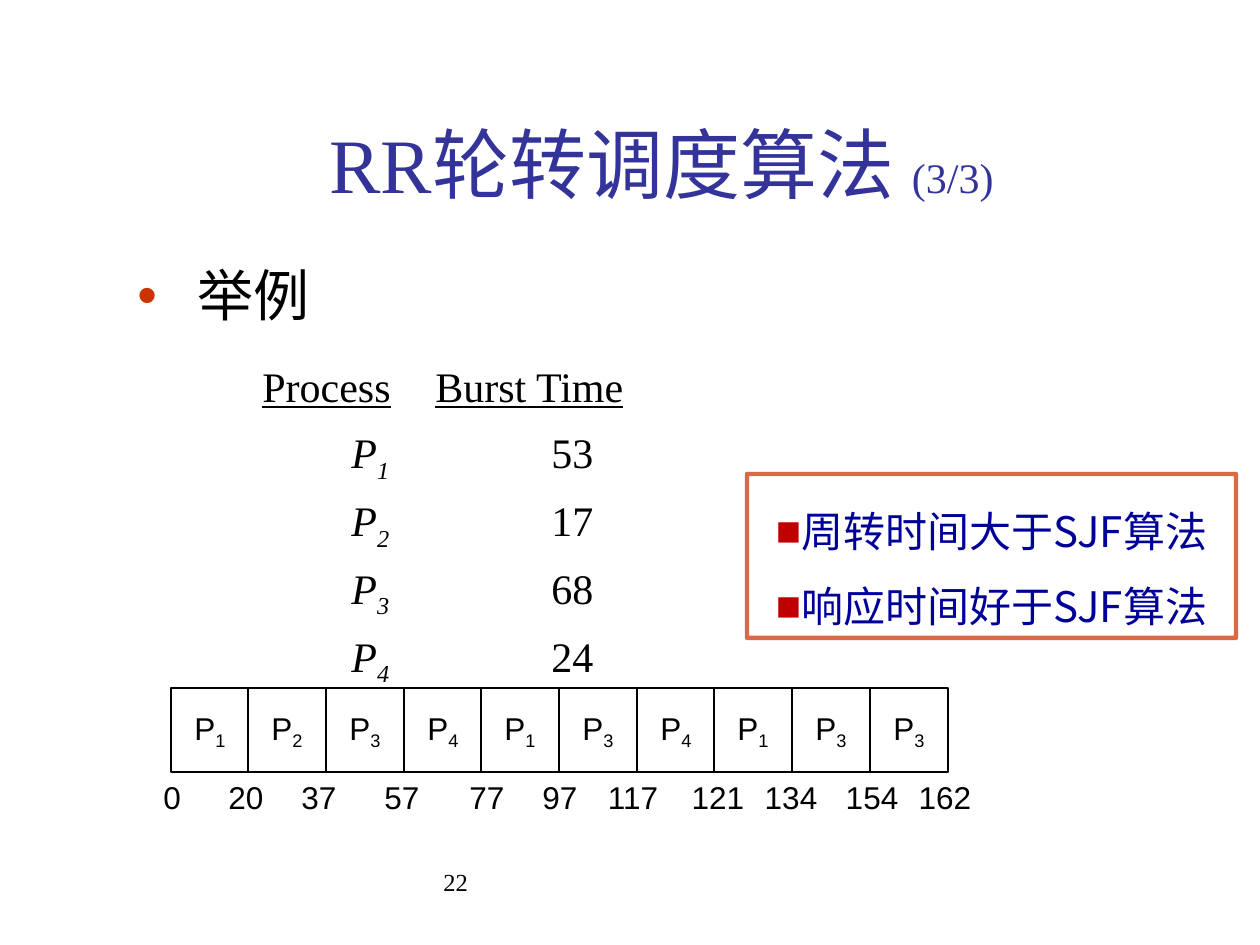
from lxml.etree import SubElement
from pptx import Presentation
from pptx.dml.color import RGBColor
from pptx.enum.shapes import MSO_SHAPE as Shape
from pptx.enum.text import MSO_ANCHOR as Anchor, PP_ALIGN as Align
from pptx.oxml.ns import qn
from pptx.util import Emu, Pt

PX = 914400 / 126
SERIF, SANS, HAN = "Times New Roman", "Arial", "Noto Sans CJK SC"
BLACK, WHITE, TITLE_BLUE, NOTE_BLUE = "000000", "FFFFFF", "333399", "000099"
ORANGE, RED = "CC3300", "C00000"


def px(length):
    return Emu(round(length * PX))


def color(value):
    return RGBColor.from_string(value)


def assign(target, values):
    for name, value in values.items():
        setattr(target, name, value)


class SlideWriter:
    """Holds the text style and the current slide, and adds each kind of element."""

    def __init__(self, slide):
        self.slide = slide
        self.style = {"name": SERIF, "size": Pt(24)}

    def span(self, para, text, ink=BLACK, sub=False, **style):
        span = para.add_run()
        span.text = text
        look = {**self.style, **style}
        assign(span.font, look)
        span.font.color.rgb = color(ink)
        properties = span._r.get_or_add_rPr()
        SubElement(properties, qn("a:ea"), typeface=look["name"])
        if sub:
            properties.set("baseline", "-25000")

    def bullet(self, para, char, ink, hang=0):
        properties = para._p.get_or_add_pPr()
        properties.set("marL", str(px(hang)))
        properties.set("indent", str(-px(hang)))
        tint = SubElement(properties, qn("a:buClr"))
        SubElement(tint, qn("a:srgbClr"), val=ink)
        SubElement(properties, qn("a:buFont"), typeface=SANS)
        SubElement(properties, qn("a:buChar"), char=char)

    def tabs(self, para, *stops):
        tab_list = SubElement(para._p.get_or_add_pPr(), qn("a:tabLst"))
        for stop in stops:
            SubElement(tab_list, qn("a:tab"), pos=str(px(stop)), algn="l")

    def text(self, left, top, width, height, align=Align.LEFT, **frame):
        box = self.slide.shapes.add_textbox(*map(px, (left, top, width, height)))
        assign(box.text_frame, {"word_wrap": True, **frame})
        para = box.text_frame.paragraphs[0]
        para.alignment = align
        return box.text_frame, para

    def rect(self, left, top, width, height, line, weight, fill=None, **frame):
        box = self.slide.shapes.add_shape(
            Shape.RECTANGLE, *map(px, (left, top, width, height)))
        box.shadow.inherit = False
        if fill:
            box.fill.solid()
            box.fill.fore_color.rgb = color(fill)
        else:
            box.fill.background()
        box.line.color.rgb = color(line)
        box.line.width = Pt(weight)
        assign(box.text_frame, {"word_wrap": False, **frame})
        return box

    def title(self):
        _, para = self.text(126, 84, 1071, 158, Align.CENTER,
                            vertical_anchor=Anchor.MIDDLE)
        self.span(para, "RR", TITLE_BLUE, size=Pt(44))
        self.span(para, "轮转调度算法 ", TITLE_BLUE, size=Pt(44), name=HAN)
        self.span(para, "(3/3)", TITLE_BLUE)

    def burst_times(self, times):
        frame, para = self.text(125, 248, 1040, 567, margin_top=px(13))
        self.bullet(para, "•", ORANGE, hang=60)
        self.span(para, "举例", size=Pt(32), name=HAN)

        header = frame.add_paragraph()
        assign(header, {"space_before": Pt(18.5), "space_after": Pt(3)})
        self.tabs(header, 125, 298)
        for heading in ("Process", "Burst Time"):
            self.span(header, "\t")
            self.span(header, heading, underline=True)

        for number, time in enumerate(times, 1):
            row = frame.add_paragraph()
            row.space_before = Pt(6)
            self.tabs(row, 214, 414)
            self.span(row, "\tP", italic=True)
            self.span(row, str(number), sub=True, italic=True)
            self.span(row, f"\t{time}")

    def gantt(self, processes, marks):
        style = {"name": SANS, "size": Pt(18)}
        for index, process in enumerate(processes):
            cell = self.rect(171 + index * 777 // 10, 688, 78, 84, BLACK, 0.75,
                             WHITE, vertical_anchor=Anchor.MIDDLE)
            para = cell.text_frame.paragraphs[0]
            para.alignment = Align.CENTER
            self.span(para, "P", **style)
            self.span(para, str(process), sub=True, **style)
        for time, center in marks.items():
            width = 28 + 18 * len(str(time))
            _, para = self.text(center - width // 2, 772, width, 50, Align.CENTER,
                                word_wrap=False, vertical_anchor=Anchor.MIDDLE)
            self.span(para, str(time), **style)

    def conclusions(self, lines):
        box = self.rect(747, 474, 489, 164, ORANGE, 2.5,
                        vertical_anchor=Anchor.TOP)
        tint = box.line._ln.find(".//" + qn("a:srgbClr"))
        SubElement(tint, qn("a:alpha"), val="73000")
        frame = box.text_frame
        for index, line in enumerate(lines):
            para = frame.add_paragraph() if index else frame.paragraphs[0]
            assign(para, {"alignment": Align.CENTER, "line_spacing": 1.5})
            self.bullet(para, "■", RED)
            self.span(para, line, NOTE_BLUE, name=HAN)

    def page_number(self, number):
        _, para = self.text(431, 861, 399, 63)
        self.span(para, str(number), size=Pt(14))


def main():
    deck = Presentation()
    assign(deck, {"slide_width": px(1260), "slide_height": px(945)})
    page = SlideWriter(deck.slides.add_slide(deck.slide_layouts[6]))
    page.page_number(22)
    page.burst_times([53, 17, 68, 24])
    page.title()
    page.gantt([1, 2, 3, 4, 1, 3, 4, 1, 3, 3],
               {0: 172, 20: 246, 37: 319, 57: 402, 77: 487, 97: 560,
                117: 633, 121: 718, 134: 791, 154: 872, 162: 945})
    page.conclusions(["周转时间大于SJF算法", "响应时间好于SJF算法"])
    deck.save("out.pptx")


if __name__ == "__main__":
    main()
